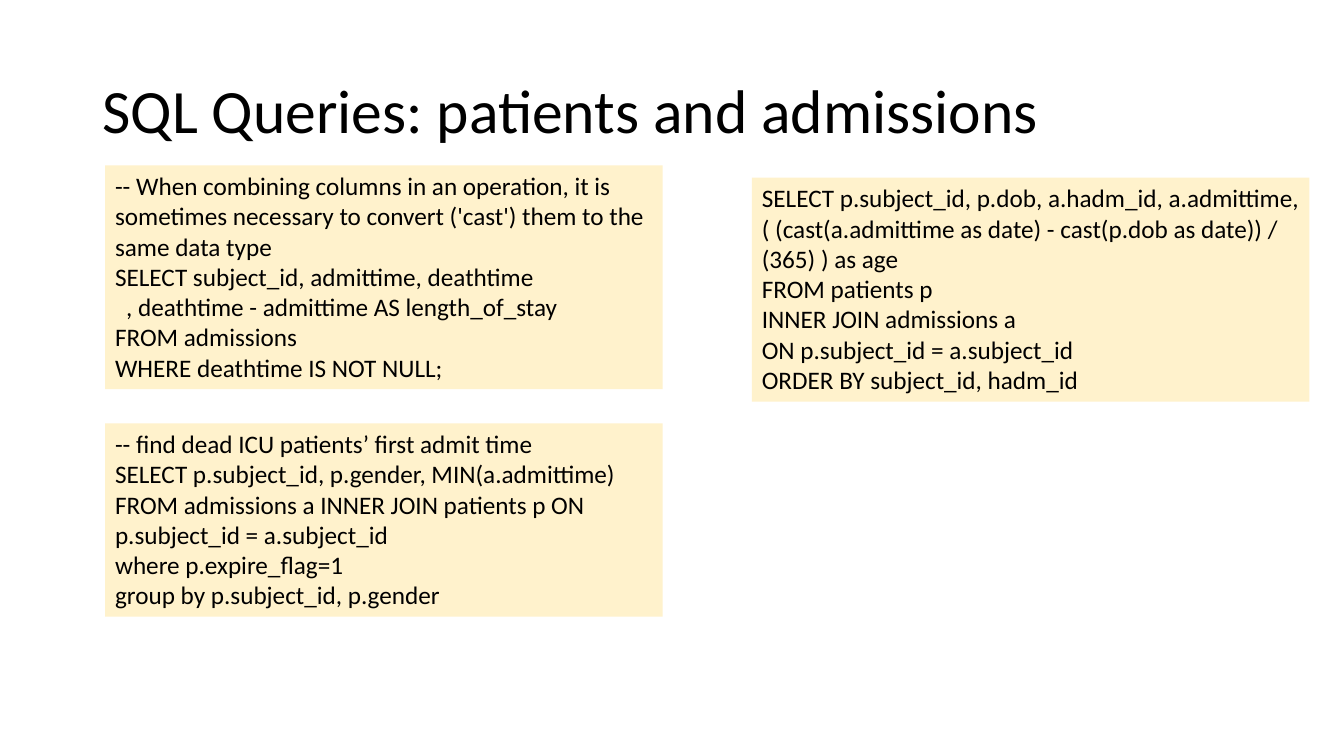
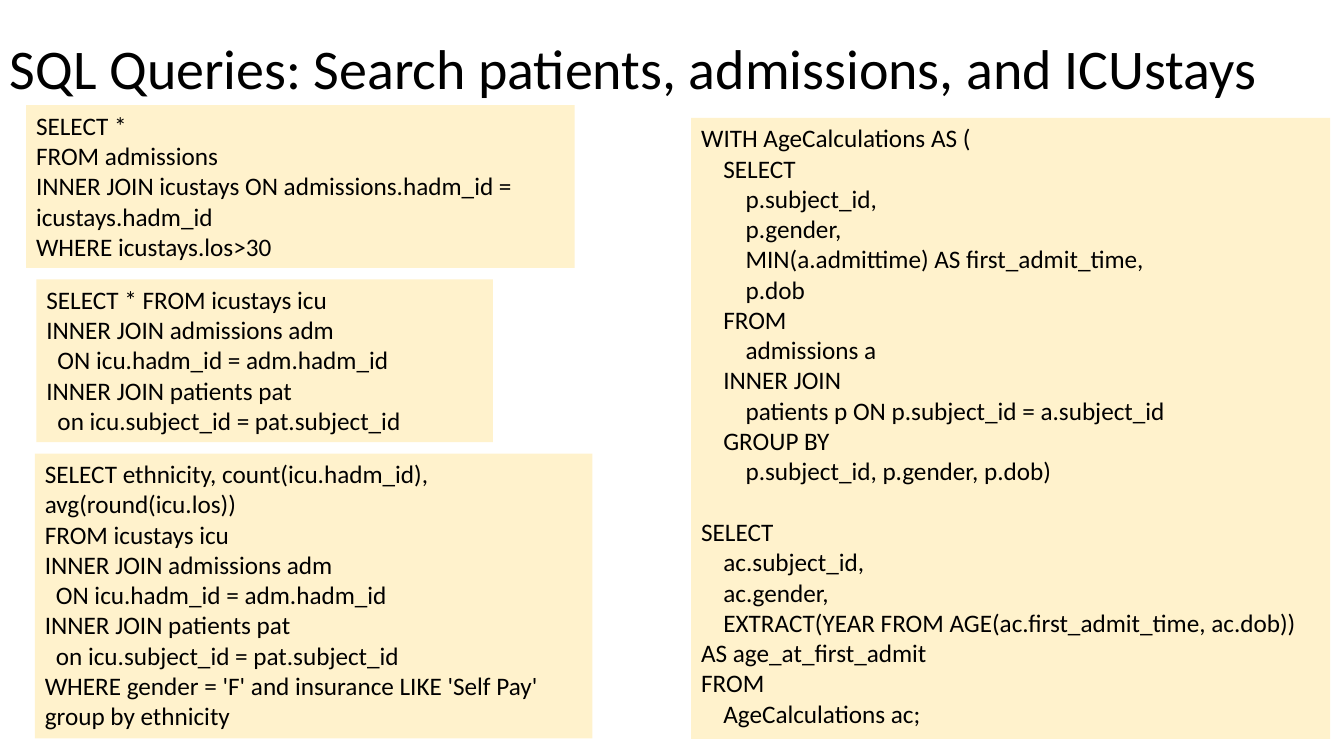
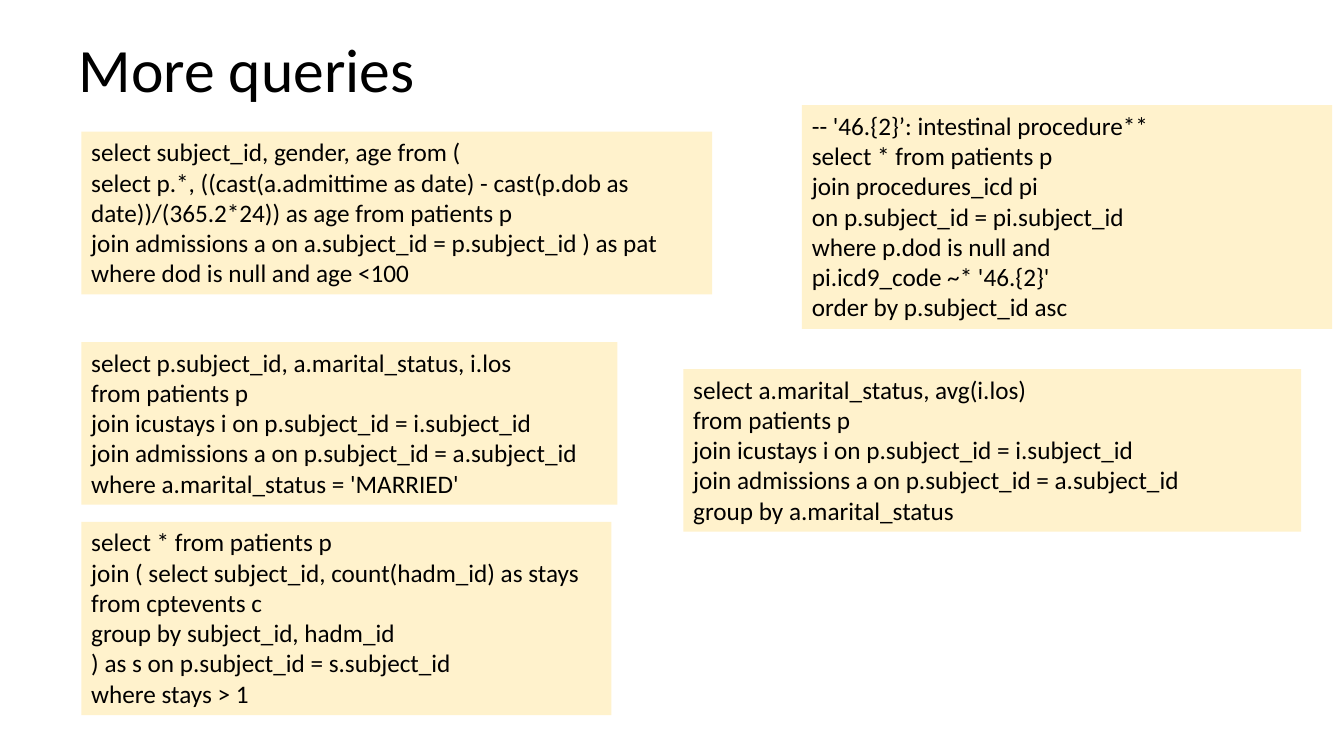
from lxml import etree
from pptx import Presentation
from pptx.dml.color import RGBColor
from pptx.enum.shapes import MSO_SHAPE
from pptx.enum.text import MSO_ANCHOR, MSO_AUTO_SIZE, PP_ALIGN
from pptx.oxml.ns import qn
from pptx.util import Cm, Pt

RECTANGLE = MSO_SHAPE.RECTANGLE
TOP, MIDDLE = MSO_ANCHOR.TOP, MSO_ANCHOR.MIDDLE
GROW, FIXED = MSO_AUTO_SIZE.SHAPE_TO_FIT_TEXT, MSO_AUTO_SIZE.NONE
LEFT = PP_ALIGN.LEFT

# Queries: leading spaces become indents, an empty line becomes space above
LENGTH_OF_STAY = """\
-- When combining columns in an operation, it is sometimes necessary to convert ('cast') them to the same data type
SELECT subject_id, admittime, deathtime
  , deathtime - admittime AS length_of_stay
FROM admissions
WHERE deathtime IS NOT NULL;"""

AGE_AT_ADMISSION = """\
SELECT p.subject_id, p.dob, a.hadm_id, a.admittime,\t( (cast(a.admittime as date) - cast(p.dob as date)) / (365) ) as age
FROM patients p
INNER JOIN admissions a
ON p.subject_id = a.subject_id
ORDER BY subject_id, hadm_id"""

FIRST_ADMIT = """\
-- find dead ICU patients’ first admit time
SELECT p.subject_id, p.gender, MIN(a.admittime)
FROM admissions a INNER JOIN patients p ON p.subject_id = a.subject_id
where p.expire_flag=1
group by p.subject_id, p.gender"""

LONG_STAYS = """\
SELECT *
FROM admissions
INNER JOIN icustays ON admissions.hadm_id = icustays.hadm_id
WHERE icustays.los>30"""

ICU_JOINS = """\
INNER JOIN admissions adm
  ON icu.hadm_id = adm.hadm_id
INNER JOIN patients pat
  on icu.subject_id = pat.subject_id"""

ICU_PATIENTS = f"""\
SELECT * FROM icustays icu
{ICU_JOINS}"""

STAY_BY_ETHNICITY = f"""\
SELECT ethnicity, count(icu.hadm_id), avg(round(icu.los))
FROM icustays icu
{ICU_JOINS}
WHERE gender = 'F' and insurance LIKE 'Self Pay'
group by ethnicity"""

AGE_CALCULATIONS = """\
WITH AgeCalculations AS (
    SELECT
        p.subject_id,
        p.gender,
        MIN(a.admittime) AS first_admit_time,
        p.dob
    FROM
        admissions a
    INNER JOIN
        patients p ON p.subject_id = a.subject_id
    GROUP BY
        p.subject_id, p.gender, p.dob)

SELECT
    ac.subject_id,
    ac.gender,
    EXTRACT(YEAR FROM AGE(ac.first_admit_time, ac.dob)) AS age_at_first_admit
FROM
    AgeCalculations ac;"""

LIVING_UNDER_100 = """\
select subject_id, gender, age from (
select p.*, ((cast(a.admittime as date) - cast(p.dob as date))/(365.2*24)) as age from patients p
join admissions a on a.subject_id = p.subject_id ) as pat
where dod is null and age <100"""

STAY_JOINS = """\
from patients p
join icustays i on p.subject_id = i.subject_id
join admissions a on p.subject_id = a.subject_id"""

MARRIED_STAYS = f"""\
select p.subject_id, a.marital_status, i.los
{STAY_JOINS}
where a.marital_status = 'MARRIED'"""

STAY_BY_STATUS = f"""\
select a.marital_status, avg(i.los)
{STAY_JOINS}
group by a.marital_status"""

REPEAT_STAYS = """\
select * from patients p
join ( select subject_id, count(hadm_id) as stays
from cptevents c
group by subject_id, hadm_id
) as s on p.subject_id = s.subject_id
where stays > 1"""

INTESTINAL = """\
-- '46.{2}’: intestinal procedure**
select * from patients p
join procedures_icd pi
on p.subject_id = pi.subject_id
where p.dod is null and
pi.icd9_code ~* '46.{2}'
order by p.subject_id asc"""


def color(hex_code):
    return RGBColor.from_string(hex_code)


def write_text(frame, text, *, size, font, ink, anchor=TOP, fit=FIXED,
               spacing=1.0, space_width=0, blank_line=0, tab_stop=None):
    frame.word_wrap = True
    frame.auto_size = fit
    frame.vertical_anchor = anchor
    paragraph, gap = frame.paragraphs[0], 0
    for number, line in enumerate(text.split("\n")):
        if not line:
            gap = blank_line
            continue
        if number:
            paragraph = frame.add_paragraph()
        paragraph.alignment = LEFT
        paragraph.line_spacing = spacing
        paragraph.space_before = Pt(gap)
        gap = 0
        content = line.lstrip(" ")
        props = paragraph._p.get_or_add_pPr()
        # Only the first row is indented, wrapped rows start at the edge
        props.set("marL", "0")
        props.set("indent", str(Cm(space_width * (len(line) - len(content)))))
        if tab_stop and "\t" in content:
            tabs = etree.SubElement(props, qn("a:tabLst"))
            etree.SubElement(tabs, qn("a:tab"), pos=str(Cm(tab_stop)), algn="l")
        run = paragraph.add_run()
        run.text = content
        run.font.size = Pt(size)
        run.font.name = font
        run.font.color.rgb = color(ink)


class Deck:
    FONT, INK, PAPER = "Calibri", "000000", "FFF2CC"
    TITLE_HEIGHT = 3.68
    CODE_SIZE, ROW, PADDING = 18, 0.77, 0.25
    SPACE_WIDTH, BLANK_LINE = 0.14, 22

    def __init__(self):
        self.file = Presentation()
        self.file.slide_width, self.file.slide_height = Cm(33.87), Cm(19.05)
        self.slide = None

    def new_slide(self, title, left, top, width=29.21, size=44):
        self.slide = self.file.slides.add_slide(self.file.slide_layouts[6])
        heading = self.slide.shapes.add_textbox(
            Cm(left), Cm(top), Cm(width), Cm(self.TITLE_HEIGHT))
        write_text(heading.text_frame, title, size=size, font=self.FONT,
                   ink=self.INK, anchor=MIDDLE, spacing=0.9)

    def query(self, code, left, top, width, rows, tab_stop=None):
        """Code panel whose height follows from its number of drawn rows."""
        panel = self.slide.shapes.add_shape(
            RECTANGLE, Cm(left), Cm(top), Cm(width),
            Cm(self.PADDING + self.ROW * rows))
        panel.shadow.inherit = False
        panel.fill.solid()
        panel.fill.fore_color.rgb = color(self.PAPER)
        panel.line.fill.background()
        write_text(panel.text_frame, code, size=self.CODE_SIZE, font=self.FONT,
                   ink=self.INK, fit=GROW, space_width=self.SPACE_WIDTH,
                   blank_line=self.BLANK_LINE, tab_stop=tab_stop)


def main():
    deck = Deck()

    # Patients and admissions
    deck.new_slide("SQL Queries: patients and admissions", 2.33, 1.01)
    deck.query(LENGTH_OF_STAY, 2.65, 4.17, 14.05, rows=7)
    deck.query(AGE_AT_ADMISSION, 18.95, 4.48, 14.05, rows=7, tab_stop=3.86)
    deck.query(FIRST_ADMIT, 2.65, 10.67, 14.05, rows=6)

    # Patients, admissions and ICU stays
    deck.new_slide("SQL Queries: Search patients, admissions, and ICUstays",
                   0, -0.03, width=32.18, size=40)
    deck.query(LONG_STAYS, 0.66, 2.65, 13.82, rows=5)
    deck.query(ICU_PATIENTS, 0.92, 7.04, 11.5, rows=5)
    deck.query(STAY_BY_ETHNICITY, 0.88, 11.43, 14.05, rows=9)
    deck.query(AGE_CALCULATIONS, 17.42, 2.97, 16.1, rows=20)

    # Further queries
    deck.new_slide("More queries", 1.73, 0)
    deck.query(LIVING_UNDER_100, 2.05, 3.32, 15.9, rows=5)
    deck.query(MARRIED_STAYS, 2.05, 8.62, 13.51, rows=5)
    deck.query(REPEAT_STAYS, 2.05, 13.15, 13.36, rows=6)
    deck.query(INTESTINAL, 20.21, 2.65, 13.36, rows=7)
    deck.query(STAY_BY_STATUS, 17.22, 9.3, 15.57, rows=5)

    deck.file.save("out.pptx")


if __name__ == "__main__":
    main()
